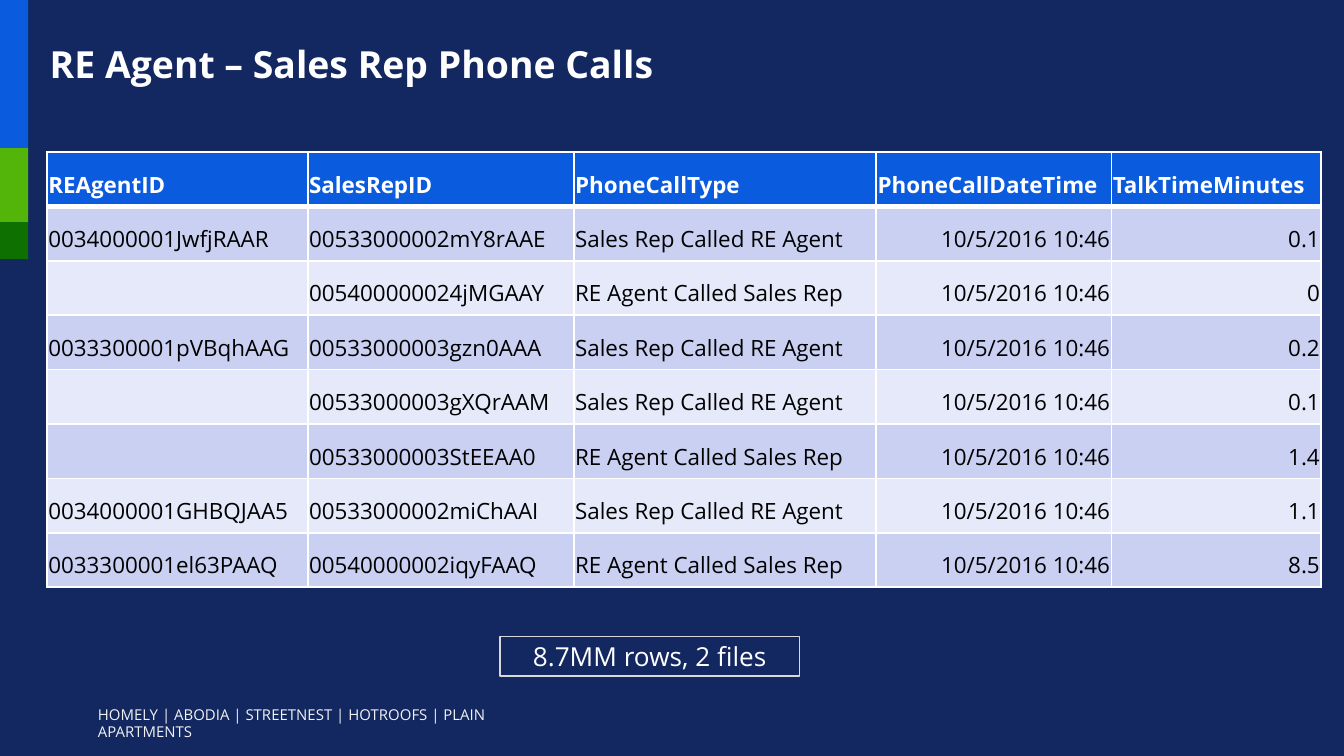
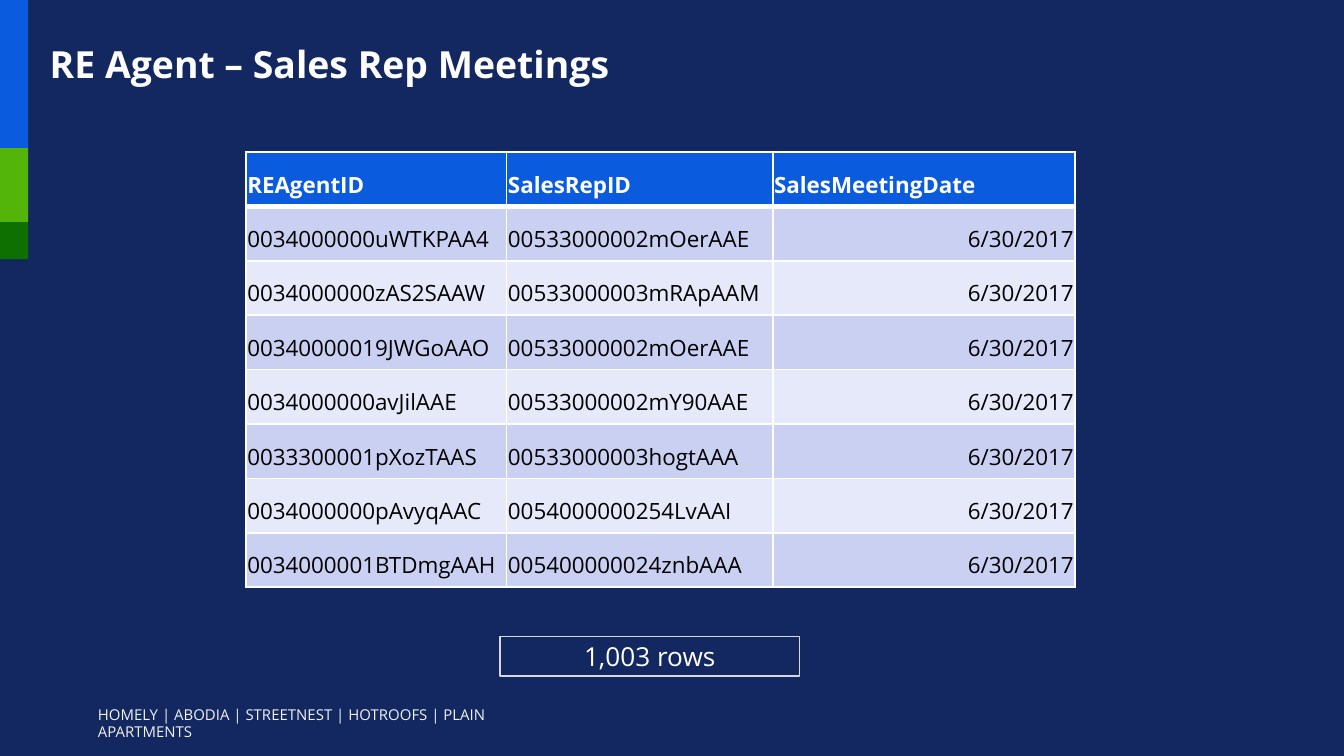
from dataclasses import dataclass

from lxml.etree import SubElement
from pptx import Presentation
from pptx.dml.color import RGBColor
from pptx.enum.shapes import MSO_SHAPE
from pptx.enum.text import MSO_ANCHOR, MSO_AUTO_SIZE, PP_ALIGN
from pptx.oxml.ns import qn
from pptx.presentation import Presentation as Deck
from pptx.shapes.autoshape import Shape
from pptx.slide import Slide
from pptx.table import _Cell
from pptx.text.text import TextFrame
from pptx.util import Inches, Pt

NAVY = RGBColor(0x13, 0x28, 0x60)
BAND_BLUE = RGBColor(0x0A, 0x5B, 0xDD)
BAND_LIME = RGBColor(0x53, 0xB5, 0x09)
BAND_GREEN = RGBColor(0x0E, 0x70, 0x01)
HEADER_BLUE = RGBColor(0x0A, 0x5B, 0xDE)
ROW_DARK = RGBColor(0xCA, 0xD0, 0xF2)
ROW_LIGHT = RGBColor(0xE6, 0xE9, 0xF9)
WHITE = RGBColor(0xFF, 0xFF, 0xFF)
BLACK = RGBColor(0x00, 0x00, 0x00)
FOOTER_GREY = RGBColor(0xF2, 0xF2, 0xF2)
OUTLINE_GREY = RGBColor(0xD8, 0xD8, 0xD8)

FONT = "Open Sans"
SLIDE_W = Inches(10)
SLIDE_H = Inches(5.625)
FOOTER = "HOMELY | ABODIA | STREETNEST | HOTROOFS | PLAIN APARTMENTS"

TO_AGENT = "Sales Rep Called RE Agent"
TO_REP = "RE Agent Called Sales Rep"
CALL_TIME = "10/5/2016 10:46"
MEETING_DATE = "6/30/2017"


@dataclass(frozen=True)
class Box:
    """Left, top, width and height in percent of the slide."""
    left: float
    top: float
    width: float
    height: float

    def emu(self) -> tuple[int, int, int, int]:
        return (across(self.left), down(self.top),
                across(self.width), down(self.height))


@dataclass(frozen=True)
class Band:
    units: int
    color: RGBColor


@dataclass(frozen=True)
class Column:
    heading: str
    width: float
    align: PP_ALIGN = PP_ALIGN.LEFT


@dataclass(frozen=True)
class TableSlide:
    title: str
    left: float
    columns: tuple[Column, ...]
    rows: tuple[tuple[str, ...], ...]
    row_count: str


TITLE_BOX = Box(3.5, 3.9, 95.2, 7.8)
FOOTER_BOX = Box(6.3, 92.4, 37.3, 4.3)
COUNT_BOX = Box(37.2, 84.2, 22.3, 5.2)
TABLE_TOP = 20.1
ROW_HEIGHT = 7.2
BAND_WIDTH = 2.1
BAND_UNIT = 4.9
BANDS = (Band(4, BAND_BLUE), Band(2, BAND_LIME), Band(1, BAND_GREEN))

AGENT = Column("REAgentID", 19.4)
REP = Column("SalesRepID", 19.8)

CALLS = TableSlide(
    "RE Agent – Sales Rep Phone Calls",
    3.5,
    (AGENT, REP, Column("PhoneCallType", 22.5),
     Column("PhoneCallDateTime", 17.5, PP_ALIGN.RIGHT),
     Column("TalkTimeMinutes", 15.6, PP_ALIGN.RIGHT)),
    (
        ("0034000001JwfjRAAR", "00533000002mY8rAAE", TO_AGENT, CALL_TIME, "0.1"),
        ("", "005400000024jMGAAY", TO_REP, CALL_TIME, "0"),
        ("0033300001pVBqhAAG", "00533000003gzn0AAA", TO_AGENT, CALL_TIME, "0.2"),
        ("", "00533000003gXQrAAM", TO_AGENT, CALL_TIME, "0.1"),
        ("", "00533000003StEEAA0", TO_REP, CALL_TIME, "1.4"),
        ("0034000001GHBQJAA5", "00533000002miChAAI", TO_AGENT, CALL_TIME, "1.1"),
        ("0033300001el63PAAQ", "00540000002iqyFAAQ", TO_REP, CALL_TIME, "8.5"),
    ),
    "8.7MM rows, 2 files",
)

MEETINGS = TableSlide(
    "RE Agent – Sales Rep Meetings",
    18.3,
    (AGENT, REP, Column("SalesMeetingDate", 22.5, PP_ALIGN.RIGHT)),
    (
        ("0034000000uWTKPAA4", "00533000002mOerAAE", MEETING_DATE),
        ("0034000000zAS2SAAW", "00533000003mRApAAM", MEETING_DATE),
        ("00340000019JWGoAAO", "00533000002mOerAAE", MEETING_DATE),
        ("0034000000avJilAAE", "00533000002mY90AAE", MEETING_DATE),
        ("0033300001pXozTAAS", "00533000003hogtAAA", MEETING_DATE),
        ("0034000000pAvyqAAC", "0054000000254LvAAI", MEETING_DATE),
        ("0034000001BTDmgAAH", "005400000024znbAAA", MEETING_DATE),
    ),
    "1,003 rows",
)


def across(percent: float) -> int:
    return round(SLIDE_W * percent / 100)


def down(percent: float) -> int:
    return round(SLIDE_H * percent / 100)


def write(tf: TextFrame, text: str, size: float, color: RGBColor,
          bold: bool = False, align: PP_ALIGN = PP_ALIGN.LEFT) -> None:
    tf.text = text
    p = tf.paragraphs[0]
    p.alignment = align
    for r in p.runs:
        r.font.name = FONT
        r.font.size = Pt(size)
        r.font.bold = bold
        r.font.color.rgb = color


def add_rectangle(s: Slide, box: Box) -> Shape:
    sp = s.shapes.add_shape(MSO_SHAPE.RECTANGLE, *box.emu())
    sp.shadow.inherit = False
    return sp


def add_bands(s: Slide) -> None:
    top = 0.0
    for band in BANDS:
        height = band.units * BAND_UNIT
        sp = add_rectangle(s, Box(0, top, BAND_WIDTH, height))
        sp.fill.solid()
        sp.fill.fore_color.rgb = band.color
        sp.line.fill.background()
        top += height


def add_footer(s: Slide) -> None:
    tf = s.shapes.add_textbox(*FOOTER_BOX.emu()).text_frame
    tf.word_wrap = True
    write(tf, FOOTER, 8, FOOTER_GREY)


def set_title(s: Slide, text: str) -> None:
    sp = s.shapes.title
    sp.left, sp.top, sp.width, sp.height = TITLE_BOX.emu()
    tf = sp.text_frame
    tf.auto_size = MSO_AUTO_SIZE.NONE
    tf.vertical_anchor = MSO_ANCHOR.BOTTOM
    tf.margin_left = tf.margin_right = Inches(0.02)
    tf.margin_top = tf.margin_bottom = Inches(0.01)
    write(tf, text, 20, WHITE, bold=True)
    tf.paragraphs[0].line_spacing = 0.9


def set_borders(cell: _Cell, top: float, bottom: float) -> None:
    tc_pr = cell._tc.get_or_add_tcPr()
    for side, width in (("L", 1), ("R", 1), ("T", top), ("B", bottom)):
        line = SubElement(tc_pr, qn(f"a:ln{side}"), w=str(Pt(width)))
        fill = SubElement(line, qn("a:solidFill"))
        SubElement(fill, qn("a:srgbClr"), val=str(WHITE))


def format_cell(cell: _Cell, row: int, text: str, align: PP_ALIGN) -> None:
    header = row == 0
    set_borders(cell, 3 if row == 1 else 1, 3 if header else 1)
    cell.fill.solid()
    cell.fill.fore_color.rgb = (
        HEADER_BLUE if header else ROW_DARK if row % 2 else ROW_LIGHT)
    cell.vertical_anchor = MSO_ANCHOR.BOTTOM
    cell.margin_left = cell.margin_right = cell.margin_top = Inches(0.01)
    cell.margin_bottom = Inches(0.05)
    write(cell.text_frame, text, 12, WHITE if header else BLACK, header,
          PP_ALIGN.LEFT if header else align)


def add_data_table(s: Slide, content: TableSlide) -> None:
    columns = content.columns
    rows = (tuple(c.heading for c in columns), *content.rows)
    box = Box(content.left, TABLE_TOP,
              sum(c.width for c in columns), ROW_HEIGHT * len(rows))
    table = s.shapes.add_table(len(rows), len(columns), *box.emu()).table
    for i, column in enumerate(columns):
        table.columns[i].width = across(column.width)
    for i, row in enumerate(rows):
        table.rows[i].height = down(ROW_HEIGHT)
        for j, text in enumerate(row):
            format_cell(table.cell(i, j), i, text, columns[j].align)


def add_row_count(s: Slide, text: str) -> None:
    sp = add_rectangle(s, COUNT_BOX)
    sp.fill.background()
    sp.line.color.rgb = OUTLINE_GREY
    sp.line.width = Pt(1)
    sp.text_frame.vertical_anchor = MSO_ANCHOR.MIDDLE
    write(sp.text_frame, text, 14, WHITE, align=PP_ALIGN.CENTER)


def add_table_slide(prs: Deck, content: TableSlide) -> None:
    s = prs.slides.add_slide(prs.slide_layouts.get_by_name("Title Only"))
    add_bands(s)
    add_footer(s)
    set_title(s, content.title)
    add_data_table(s, content)
    add_row_count(s, content.row_count)


def main() -> None:
    prs = Presentation()
    prs.slide_width, prs.slide_height = SLIDE_W, SLIDE_H
    background = prs.slide_master.background.fill
    background.solid()
    background.fore_color.rgb = NAVY
    for content in (CALLS, MEETINGS):
        add_table_slide(prs, content)
    prs.save("out.pptx")


if __name__ == "__main__":
    main()
